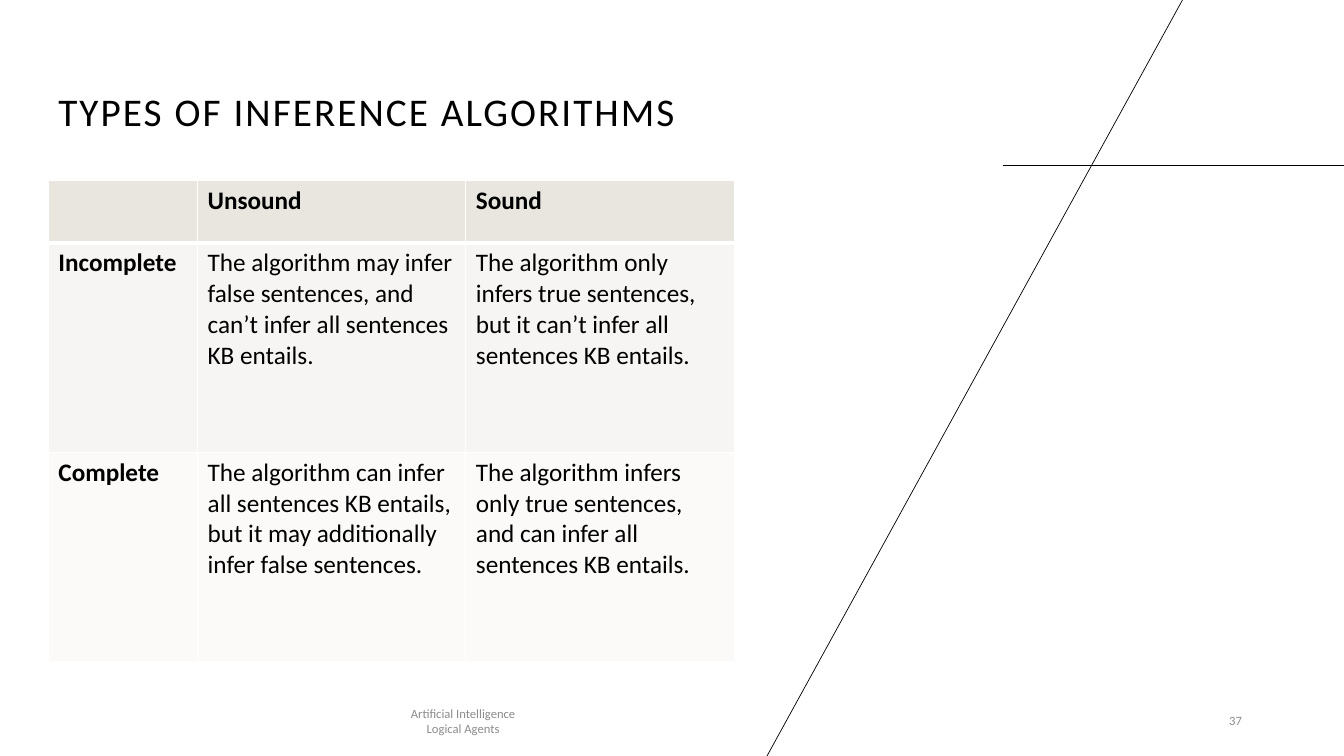
import pptx
import pptx.dml.color
import pptx.enum.shapes
import pptx.enum.text
import pptx.oxml
import pptx.oxml.ns
import pptx.util
from dataclasses import dataclass

Cm = pptx.util.Cm
Pt = pptx.util.Pt
Align = pptx.enum.text.PP_ALIGN
Anchor = pptx.enum.text.MSO_ANCHOR


@dataclass(frozen=True)
class Theme:
    font: str = "Calibri"
    ink: str = "000000"
    muted: str = "8C8C8C"
    border: str = "FFFFFF"
    row_fills: tuple = ("E9E6DF", "F7F5F3", "FBFAF9")
    title_size: float = 28
    table_size: float = 18
    footer_size: float = 9
    rule_width: float = 0.5
    border_width: float = 1
    header_border_width: float = 3


THEME = Theme()

TABLE_ROWS = [
    ["", "Unsound", "Sound"],
    ["Incomplete",
     "The algorithm may infer false sentences, and can’t infer all sentences KB entails.",
     "The algorithm only infers true sentences, but it can’t infer all sentences KB entails."],
    ["Complete",
     "The algorithm can infer all sentences KB entails, but it may additionally infer false sentences.",
     "The algorithm infers only true sentences, and can infer all sentences KB entails."],
]


def rgb(value):
    return pptx.dml.color.RGBColor.from_string(value)


def write_paragraph(paragraph, text, size, color, bold=False, **formats):
    """Write one run and apply its font and paragraph formats."""
    run = paragraph.add_run()
    run.text = text
    font_formats = {"name": THEME.font, "size": Pt(size), "bold": bold}
    for name, value in font_formats.items():
        setattr(run.font, name, value)
    run.font.color.rgb = rgb(color)
    for name, value in formats.items():
        setattr(paragraph, name, value)
    return run


def add_text(slide, box, lines, size, color, anchor, **formats):
    """Place a text box and return its runs."""
    frame = slide.shapes.add_textbox(*map(Cm, box)).text_frame
    frame.word_wrap = True
    frame.vertical_anchor = anchor
    runs = []
    for index, line in enumerate(lines):
        paragraph = frame.add_paragraph() if index else frame.paragraphs[0]
        runs.append(write_paragraph(paragraph, line, size, color, **formats))
    return runs


def add_rules(slide, box):
    """Draw the horizontal rule and the diagonal that crosses it."""
    left, top, width, height = box
    right, bottom = left + width, top + height
    ends = [
        (left + 5.94, top + 4.17, right, top + 4.17),
        (right - 4.07, top, left, bottom),
    ]
    for points in ends:
        rule = slide.shapes.add_connector(
            pptx.enum.shapes.MSO_CONNECTOR.STRAIGHT, *map(Cm, points))
        rule.line.color.rgb = rgb(THEME.ink)
        rule.line.width = Pt(THEME.rule_width)
        rule._element.spPr.append(pptx.oxml.parse_xml(
            f"<a:effectLst {pptx.oxml.ns.nsdecls('a')}/>"))


def add_title(slide, box):
    run, = add_text(slide, box, ["TYPES OF INFERENCE ALGORITHMS"], THEME.title_size,
                    THEME.ink, Anchor.BOTTOM, line_spacing=0.9)
    run._r.get_or_add_rPr().set("spc", "150")


def set_borders(cell, widths):
    """Add the cell borders, ahead of the fill as the schema requires."""
    properties = cell._tc.get_or_add_tcPr()
    for index, (side, width) in enumerate(widths.items()):
        properties.insert(index, pptx.oxml.parse_xml(
            f'<a:ln{side} {pptx.oxml.ns.nsdecls("a")} w="{Pt(width)}">'
            f'<a:solidFill><a:srgbClr val="{THEME.border}"/></a:solidFill>'
            f'</a:ln{side}>'))


def add_inference_table(slide, box):
    left, top, width, height = box
    label_width, header_height = 3.76, 1.57
    column_count, row_count = len(TABLE_ROWS[0]), len(TABLE_ROWS)
    table = slide.shapes.add_table(row_count, column_count, *map(Cm, box)).table
    table.horz_banding = False
    for index, column in enumerate(table.columns):
        column.width = Cm((width - label_width) / (column_count - 1) if index else label_width)
    for index, row in enumerate(table.rows):
        row.height = Cm((height - header_height) / (row_count - 1) if index else header_height)

    for row_index, texts in enumerate(TABLE_ROWS):
        for column_index, text in enumerate(texts):
            cell = table.cell(row_index, column_index)
            cell.fill.solid()
            cell.fill.fore_color.rgb = rgb(THEME.row_fills[row_index])
            widths = dict.fromkeys("LRTB", THEME.border_width)
            if row_index < 2:
                widths["T" if row_index else "B"] = THEME.header_border_width
            set_borders(cell, widths)
            if text:
                write_paragraph(cell.text_frame.paragraphs[0], text, THEME.table_size,
                                THEME.ink, bold=row_index == 0 or column_index == 0)


def add_footer(slide, box):
    left, top, width, height = box
    number_width = 7.62
    add_text(slide, (left, top, 9.68, height), ["Artificial Intelligence", "Logical Agents"],
             THEME.footer_size, THEME.muted, Anchor.MIDDLE, alignment=Align.CENTER)
    add_text(slide, (left + width - number_width, top, number_width, height), ["37"],
             THEME.footer_size, THEME.muted, Anchor.MIDDLE, alignment=Align.RIGHT)


def main():
    presentation = pptx.Presentation()
    presentation.slide_width = Cm(33.87)
    presentation.slide_height = Cm(19.05)
    slide = presentation.slides.add_slide(presentation.slide_layouts[6])

    add_rules(slide, (19.33, 0, 14.54, 19.05))
    add_title(slide, (1.22, 1.17, 22.71, 2.36))
    add_inference_table(slide, (1.22, 4.55, 17.28, 12.13))
    add_footer(slide, (6.83, 17.65, 24.72, 1.02))

    presentation.save("out.pptx")


if __name__ == "__main__":
    main()
